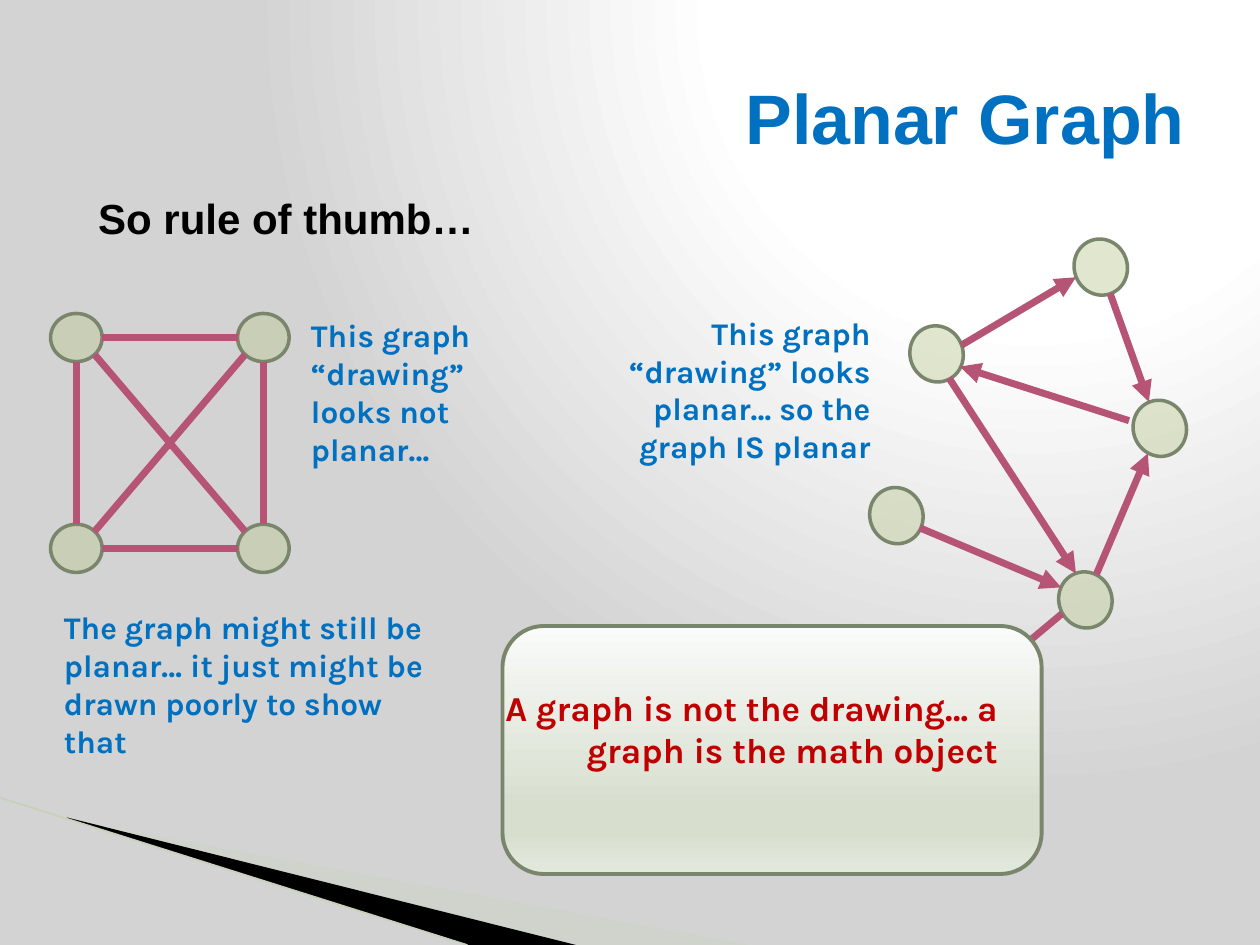
"""Build the Planar Graph slide: two graph drawings with their captions."""
from itertools import combinations, product
from math import sqrt

from lxml.etree import SubElement
from pptx import Presentation
from pptx.dml.color import RGBColor
from pptx.enum.shapes import MSO_CONNECTOR, MSO_SHAPE
from pptx.enum.text import MSO_ANCHOR, PP_ALIGN
from pptx.oxml import parse_xml
from pptx.oxml.ns import nsdecls, qn
from pptx.util import Cm, Pt

COLORS = {
    "title": "0070C0", "heading": "000000", "caption": "0070C0", "claim": "C00000",
    "node": "BECB95", "outline": "7A866C", "edge": "B55475",
    "wedge": "CBD4C0", "blade": "000000", "hairline": "C6D0BB",
}
BACKDROP = [(0, "FFFFFF"), (40, "FFFFFF"), (100, "D3D3D3")]
BACKDROP_SHADE = '<a:path path="circle"><a:fillToRect l="65000" t="0" r="0" b="98000"/></a:path>'
PANEL = [(0, "FAFBFA"), (74, "D7DECE"), (83, "D7DECE"), (100, "E4E9DE")]
PANEL_SHADE = '<a:lin ang="5400000" scaled="0"/>'
PANEL_PLACE = (10.13, 12.62, 10.87, 5)

WEDGES = [
    ("wedge", 40, [(1.4, 16.54), (15.11, 19.05), (11.58, 19.05), (1.4, 16.51)]),
    ("blade", 100, [(1.35, 16.48), (11.61, 19.05), (9.45, 19.05), (1.37, 16.51)]),
]
HAIRLINE = (0, 16.08, 9.42, 19.05)

PLANAR_SIZE, PLANAR_TURN = (1.14, 1.07), 69.9
PLANAR_NODES = [(21.62, 4.85), (22.81, 8.1), (18.31, 6.6), (17.5, 9.86), (21.31, 11.56)]
PLANAR_EDGES = [
    (22.38, 5.92, 23.16, 8.1), (22.76, 8.48, 19.35, 7.39), (19.13, 7.62, 21.69, 11.56),
    (18.54, 10.64, 21.39, 11.84), (21.41, 12.37, 20.07, 13.49),
    (22.1, 11.58, 23.14, 9.14), (19.38, 6.96, 21.69, 5.59),
]
CROSSED_SIZE = (1.04, 0.97)
CROSSED_NODES = list(product((1.02, 4.79), (6.32, 10.57)))

HEADINGS = [
    ("So rule of thumb…", (1.42, 3.76, 22.86, 1.3), "Arial", 24, "heading", PP_ALIGN.LEFT),
    ("Planar Graph", (1.27, 0.76, 22.86, 3.18), "Arial", 40, "title", PP_ALIGN.RIGHT),
]
CAPTIONS = [
    ("This graph “drawing” looks planar… so the graph IS planar",
     (11.3, 6.2, 6.5, 3.33), "Karla", 18, "caption", PP_ALIGN.RIGHT),
    ("This graph “drawing” looks not planar…",
     (6.02, 6.25, 4.55, 3.33), "Karla", 18, "caption", PP_ALIGN.LEFT),
    ("The graph might still be planar… it just might be drawn poorly to show that",
     (1.04, 12.14, 7.9, 3.33), "Karla", 18, "caption", PP_ALIGN.LEFT),
]
CLAIM = ("A graph is not the drawing… a graph is the math object",
         (9.55, 13.72, 10.82, 2.82), "Karla", 20, "claim", PP_ALIGN.RIGHT)


def color(name):
    return RGBColor.from_string(COLORS[name])


def lengths(values):
    return [Cm(value) for value in values]


def fill_gradient(owner, fill, stops, shade):
    fill.solid()
    solid = next(owner.iter(qn("a:solidFill")))
    marks = "".join(f'<a:gs pos="{at * 1000}"><a:srgbClr val="{tone}"/></a:gs>' for at, tone in stops)
    gradient = parse_xml(f'<a:gradFill {nsdecls("a")} rotWithShape="1"><a:gsLst>{marks}</a:gsLst>{shade}</a:gradFill>')
    solid.getparent().replace(solid, gradient)


def fill_solid(shape, name, opacity):
    shape.fill.solid()
    shape.fill.fore_color.rgb = color(name)
    tone = next(shape.element.iter(qn("a:srgbClr")))
    SubElement(tone, qn("a:alpha")).set("val", str(opacity * 1000))


def outline(shape, width):
    shape.shadow.inherit = False
    shape.line.color.rgb = color("outline")
    shape.line.width = Pt(width)


def add_wedge(page, name, opacity, points):
    corners = [tuple(lengths(point)) for point in points]
    builder = page.shapes.build_freeform(*corners[0], scale=1.0)
    builder.add_line_segments(corners[1:], close=True)
    wedge = builder.convert_to_shape()
    wedge.shadow.inherit = False
    fill_solid(wedge, name, opacity)
    wedge.line.fill.background()


def add_line(page, ends, name="edge", width=4, arrow=False):
    line = page.shapes.add_connector(MSO_CONNECTOR.STRAIGHT, *lengths(ends))
    line.line.color.rgb = color(name)
    line.line.width = Pt(width)
    if arrow:
        SubElement(line.line._get_or_add_ln(), qn("a:tailEnd")).set("type", "triangle")
    SubElement(line.element.spPr, qn("a:effectLst"))


def add_node(page, place, size, turn=0):
    node = page.shapes.add_shape(MSO_SHAPE.OVAL, *lengths(place + size))
    node.rotation = turn
    fill_solid(node, "node", 45)
    outline(node, 2)


def rim_to_rim(start, end):
    steps = [(b > a) - (b < a) for a, b in zip(start, end)]
    reach = 1 / sqrt(sum(map(abs, steps)))
    trims = [step * size / 2 * reach for step, size in zip(steps, CROSSED_SIZE)]
    middles = [[at + size / 2 for at, size in zip(node, CROSSED_SIZE)] for node in (start, end)]
    return ([at + trim for at, trim in zip(middles[0], trims)]
            + [at - trim for at, trim in zip(middles[1], trims)])


def add_text(page, words, place, font, size, name, align):
    box = page.shapes.add_textbox(*lengths(place))
    box.text_frame.word_wrap = True
    paragraph = box.text_frame.paragraphs[0]
    paragraph.alignment = align
    span = paragraph.add_run()
    span.text = words
    span.font.name = font
    span.font.size = Pt(size)
    span.font.bold = True
    span.font.color.rgb = color(name)
    return box


def main():
    deck = Presentation()
    deck.slide_width, deck.slide_height = Cm(25.4), Cm(19.05)
    page = deck.slides.add_slide(deck.slide_layouts[6])
    fill_gradient(page.element, page.background.fill, BACKDROP, BACKDROP_SHADE)

    for wedge in WEDGES:
        add_wedge(page, *wedge)
    add_line(page, HAIRLINE, "hairline", 0.95)

    heading, title = [add_text(page, *item) for item in HEADINGS]
    heading.text_frame.margin_left = Cm(0.56)
    title.text_frame.vertical_anchor = MSO_ANCHOR.MIDDLE

    for place in PLANAR_NODES:
        add_node(page, place, PLANAR_SIZE, PLANAR_TURN)
    for ends in PLANAR_EDGES:
        add_line(page, ends, arrow=True)

    for place in CROSSED_NODES:
        add_node(page, place, CROSSED_SIZE)
    for start, end in combinations(CROSSED_NODES, 2):
        add_line(page, rim_to_rim(start, end))

    for caption in CAPTIONS:
        add_text(page, *caption)

    panel = page.shapes.add_shape(MSO_SHAPE.ROUNDED_RECTANGLE, *lengths(PANEL_PLACE))
    fill_gradient(panel.element, panel.fill, PANEL, PANEL_SHADE)
    outline(panel, 2.25)
    add_text(page, *CLAIM)
    deck.save("out.pptx")


if __name__ == "__main__":
    main()
